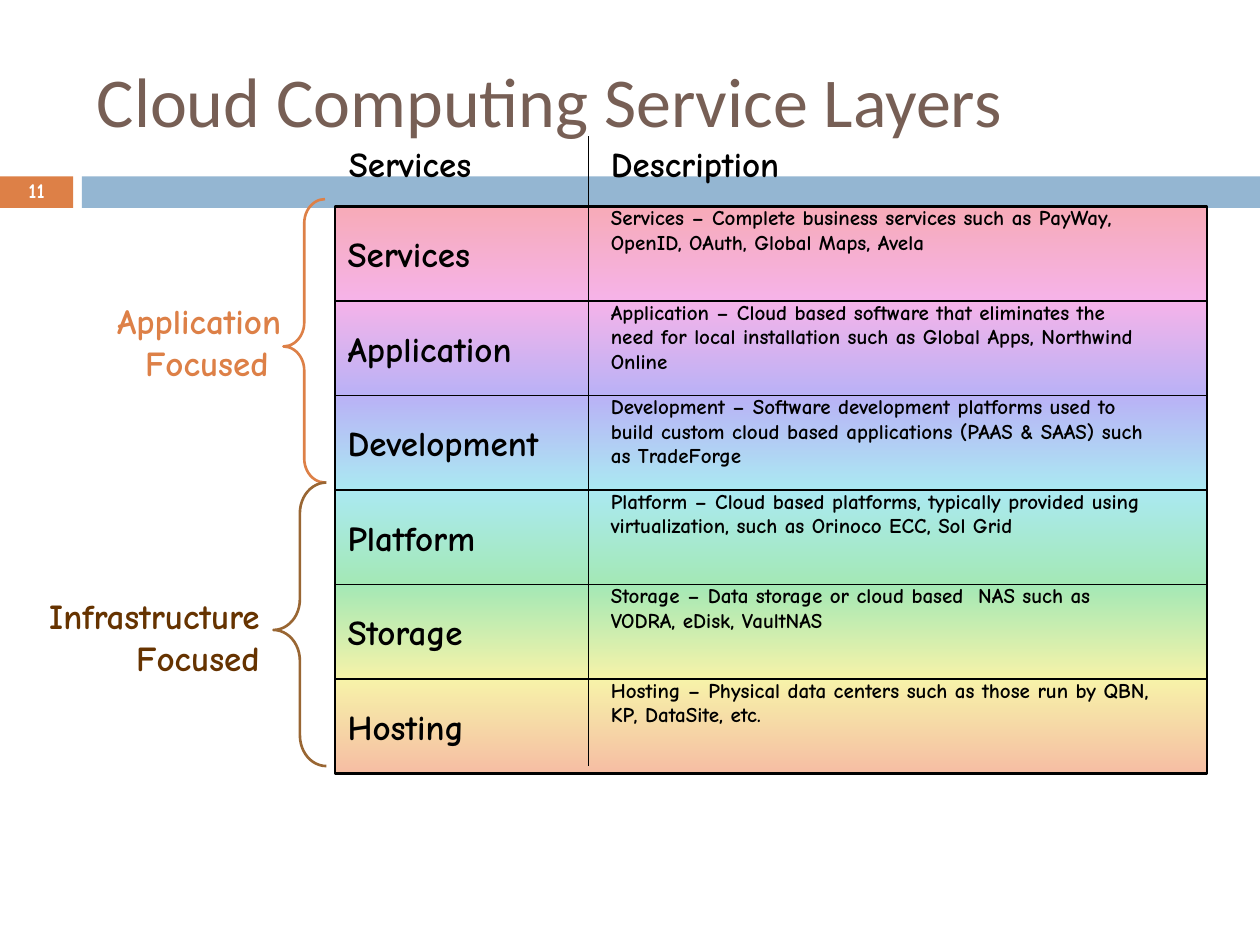
from lxml.etree import SubElement
from pptx import Presentation
from pptx.dml.color import RGBColor
from pptx.enum.shapes import MSO_CONNECTOR, MSO_SHAPE
from pptx.enum.text import MSO_ANCHOR, PP_ALIGN
from pptx.oxml.ns import qn
from pptx.util import Inches, Pt

COLORS = {
    "black": "000000", "white": "FFFFFF", "title": "775F55",
    "orange": "DD8047", "blue": "94B6D2", "brown": "663300", "tan": "996633",
}
GRADIENT = ["EB2D4D", "E943C9", "523EEA", "2DCADF", "1BC748", "EBE229", "E95B1B"]
LAYERS = [
    ("Services", "Complete business services such as PayWay, OpenID, OAuth, Global Maps, Avela"),
    ("Application", "Cloud based software that eliminates the need for local installation such as Global Apps, Northwind Online"),
    ("Development", "Software development platforms used to build custom cloud based applications (PAAS & SAAS) such as TradeForge"),
    ("Platform", "Cloud based platforms, typically provided using virtualization, such as Orinoco ECC, Sol Grid"),
    ("Storage", "Data storage or cloud based  NAS such as VODRA, eDisk, VaultNAS"),
    ("Hosting", "Physical data centers such as those run by QBN, KP, DataSite, etc."),
]
TABLE_LEFT, TABLE_TOP, TABLE_WIDTH, ROW_HEIGHT = 2.66, 1.64, 6.92, 0.75


def add_preset(preset, left, top, width, height, fill=None, line=None, line_width=0.75):
    shape = slide.shapes.add_shape(preset, Inches(left), Inches(top), Inches(width), Inches(height))
    shape.shadow.inherit = False
    if fill:
        shape.fill.solid()
        shape.fill.fore_color.rgb = RGBColor.from_string(COLORS[fill])
    else:
        shape.fill.background()
    if line:
        shape.line.color.rgb = RGBColor.from_string(COLORS[line])
        shape.line.width = Pt(line_width)
    else:
        shape.line.fill.background()
    return shape


def write_text(shape, lines, size=20, color="black", font="Comic Neue", bold=True,
               align=PP_ALIGN.LEFT, anchor=MSO_ANCHOR.TOP, spacing=None):
    frame = shape.text_frame
    frame.word_wrap = True
    frame.vertical_anchor = anchor
    for index, line in enumerate(lines):
        paragraph = frame.add_paragraph() if index else frame.paragraphs[0]
        paragraph.alignment = align
        paragraph.line_spacing = spacing
        run = paragraph.add_run()
        run.text = line
        run.font.size = Pt(size)
        run.font.name = font
        run.font.bold = bold
        run.font.color.rgb = RGBColor.from_string(COLORS[color])


presentation = Presentation()
presentation.slide_width = Inches(10)
presentation.slide_height = Inches(7.5)
slide = presentation.slides.add_slide(presentation.slide_layouts[6])

add_preset(MSO_SHAPE.RECTANGLE, 0, 1.4, 0.58, 0.25, fill="orange")
add_preset(MSO_SHAPE.RECTANGLE, 0.65, 1.4, 9.35, 0.25, fill="blue")

for index, (name, description) in enumerate(LAYERS):
    row = add_preset(MSO_SHAPE.RECTANGLE, TABLE_LEFT, TABLE_TOP + index * ROW_HEIGHT,
                     TABLE_WIDTH, ROW_HEIGHT, line="black")
    row.fill.gradient()
    row.fill.gradient_angle = 270
    for stop, color in zip(row.fill.gradient_stops, GRADIENT[index:index + 2]):
        stop.color.rgb = RGBColor.from_string(color)
    for color_element in row._element.spPr.find(qn("a:gradFill")).iter(qn("a:srgbClr")):
        SubElement(color_element, qn("a:alpha")).set("val", "40000")
    write_text(row, [name], anchor=MSO_ANCHOR.MIDDLE)

add_preset(MSO_SHAPE.RECTANGLE, TABLE_LEFT, TABLE_TOP, TABLE_WIDTH,
           ROW_HEIGHT * len(LAYERS), line="black", line_width=1.5)

title = slide.shapes.add_textbox(Inches(0.67), Inches(0.25), Inches(8.92), Inches(1.08))
write_text(title, ["Cloud Computing Service Layers"], size=40, color="title",
           font="Calibri", bold=False, anchor=MSO_ANCHOR.MIDDLE)

number = slide.shapes.add_textbox(Inches(0), Inches(1.39), Inches(0.58), Inches(0.27))
write_text(number, ["11"], size=12, color="white", align=PP_ALIGN.CENTER,
           anchor=MSO_ANCHOR.MIDDLE, spacing=0.8)

for heading, left, width in [("Services", 2.67, 2), ("Description", 4.75, 4.6)]:
    box = slide.shapes.add_textbox(Inches(left), Inches(1.08), Inches(width), Inches(0.44))
    write_text(box, [heading])

for lines, left, top, width, color in [
    (["Application", "Focused "], 0.62, 2.33, 1.71, "orange"),
    (["Infrastructure", "Focused"], 0, 4.67, 2.16, "brown"),
]:
    box = slide.shapes.add_textbox(Inches(left), Inches(top), Inches(width), Inches(0.77))
    write_text(box, lines, color=color, align=PP_ALIGN.RIGHT)

for left, top, width, color in [(2.25, 1.58, 0.33, "orange"), (2.17, 3.83, 0.42, "tan")]:
    brace = add_preset(MSO_SHAPE.LEFT_BRACE, left, top, width, 2.25, line=color, line_width=1.5)
    brace.adjustments[0] = 0.58
    brace.adjustments[1] = 0.52

divider = slide.shapes.add_connector(MSO_CONNECTOR.STRAIGHT, Inches(4.67), Inches(6.08),
                                     Inches(4.67), Inches(1.08))
divider.line.color.rgb = RGBColor.from_string(COLORS["black"])
divider.line.width = Pt(0.75)
SubElement(divider._element.spPr, qn("a:effectLst"))

for index, (name, description) in enumerate(LAYERS):
    box = slide.shapes.add_textbox(Inches(4.75), Inches(1.58 + index * ROW_HEIGHT),
                                   Inches(4.5), Inches(0.69))
    write_text(box, [f"{name} – {description}"], size=12, spacing=Pt(14))

presentation.save("out.pptx")
